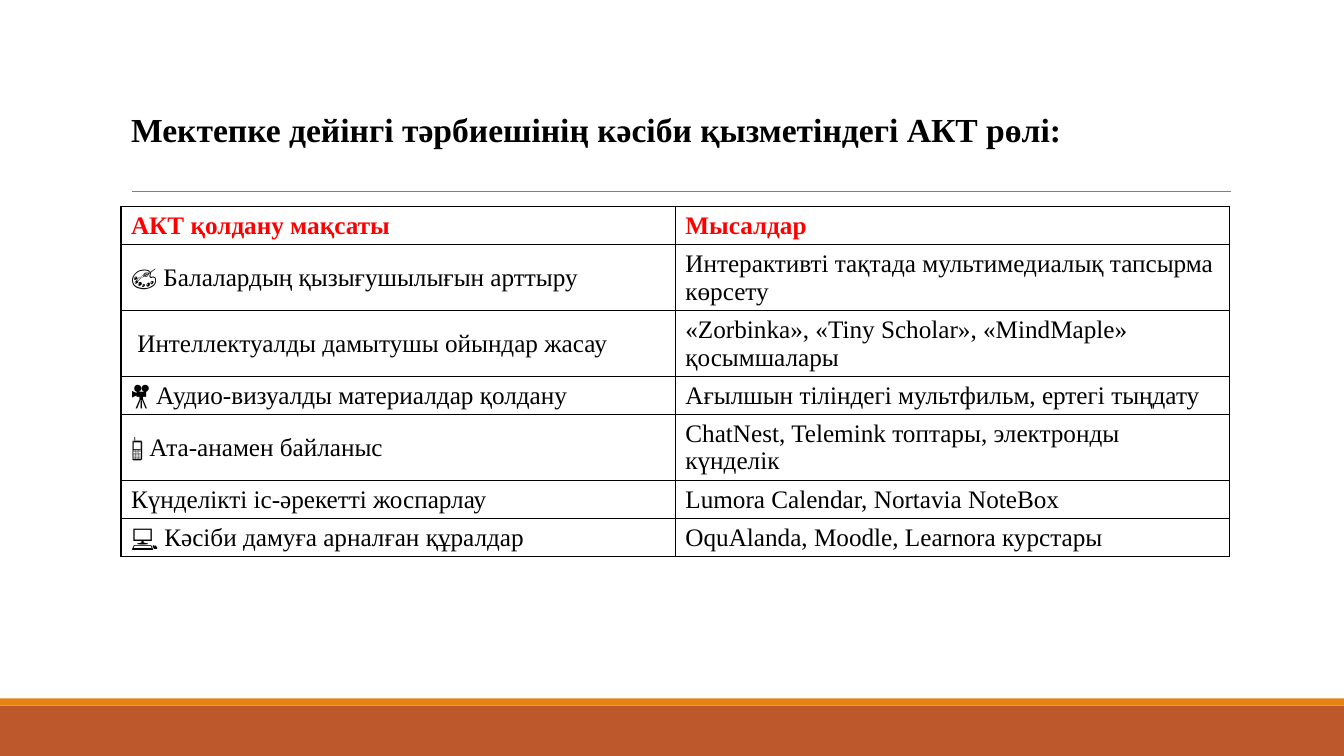
import pptx
import pptx.chart.data
import pptx.dml.color
import pptx.enum.shapes
import pptx.enum.text
import pptx.oxml
import pptx.oxml.ns
import pptx.util

PURPOSES = [
    ("АКТ қолдану мақсаты", "Мысалдар"),
    ("🎨 Балалардың қызығушылығын арттыру",
     "Интерактивті тақтада мультимедиалық тапсырма көрсету"),
    (" Интеллектуалды дамытушы ойындар жасау",
     "«Zorbinka», «Tiny Scholar», «MindMaple» қосымшалары"),
    ("🎥 Аудио-визуалды материалдар қолдану",
     "Ағылшын тіліндегі мультфильм, ертегі тыңдату"),
    ("📱 Ата-анамен байланыс",
     "ChatNest, Telemink топтары, электронды күнделік"),
    ("Күнделікті іс-әрекетті жоспарлау", "Lumora Calendar, Nortavia NoteBox"),
    ("💻 Кәсіби дамуға арналған құралдар", "OquAlanda, Moodle, Learnora курстары"),
]
SINGLE_LINE, DOUBLE_LINE = 1.51, 2.61
ROW_HEIGHTS = [SINGLE_LINE, DOUBLE_LINE, DOUBLE_LINE, SINGLE_LINE,
               DOUBLE_LINE, SINGLE_LINE, SINGLE_LINE]


def color(value):
    return pptx.dml.color.RGBColor.from_string(value)


class LessonSlide:
    """Draws styled elements on a slide split into 40 columns and 30 rows."""

    FONT = "Times New Roman"
    INK = "000000"
    ACCENT = "FF0000"

    def __init__(self, deck):
        self.column = deck.slide_width / 40
        self.row = deck.slide_height / 30
        self.slide = deck.slides.add_slide(deck.slide_layouts[5])

    def place(self, left, top, width, height):
        return (round(left * self.column), round(top * self.row),
                round(width * self.column), round(height * self.row))

    def style(self, frame, size, ink, bold):
        for paragraph in frame.paragraphs:
            paragraph.alignment = pptx.enum.text.PP_ALIGN.LEFT
            for run in paragraph.runs:
                run.font.name = self.FONT
                run.font.size = pptx.util.Pt(size)
                run.font.bold = bold
                run.font.color.rgb = color(ink)

    def band(self, top, height, fill):
        band = self.slide.shapes.add_shape(
            pptx.enum.shapes.MSO_SHAPE.RECTANGLE, *self.place(0, top, 40, height))
        band.shadow.inherit = False
        band.fill.solid()
        band.fill.fore_color.rgb = color(fill)
        band.line.fill.background()

    def rule(self, start, end, row, ink):
        left, top, width, _ = self.place(start, row, end - start, 0)
        rule = self.slide.shapes.add_connector(
            pptx.enum.shapes.MSO_CONNECTOR.STRAIGHT, left, top, left + width, top)
        rule.line.color.rgb = color(ink)
        rule.line.width = pptx.util.Pt(0.5)
        rule._element.spPr.append(pptx.oxml.parse_xml(
            f"<a:effectLst {pptx.oxml.ns.nsdecls('a')}/>"))

    def title(self, text, left, top, width, height):
        title = self.slide.shapes.title
        title.left, title.top, title.width, title.height = self.place(
            left, top, width, height)
        frame = title.text_frame
        frame.text = text
        frame.word_wrap = True
        frame.auto_size = pptx.enum.text.MSO_AUTO_SIZE.NONE
        frame.vertical_anchor = pptx.enum.text.MSO_ANCHOR.MIDDLE
        frame.margin_bottom = pptx.util.Inches(0.3)
        self.style(frame, 24, self.INK, True)

    def border(self, cell):
        properties = cell._tc.get_or_add_tcPr()
        for index, side in enumerate("LRTB"):
            properties.insert(index, pptx.oxml.parse_xml(
                f'<a:ln{side} {pptx.oxml.ns.nsdecls("a")} w="12700"><a:solidFill>'
                f'<a:srgbClr val="{self.INK}"/></a:solidFill></a:ln{side}>'))

    def table(self, rows, heights, left, top, width):
        table = self.slide.shapes.add_table(
            len(rows), len(rows[0]), *self.place(left, top, width, sum(heights))).table
        table.horz_banding = False
        for index, (texts, height) in enumerate(zip(rows, heights)):
            table.rows[index].height = round(height * self.row)
            header = index == 0
            for cell, text in zip(table.rows[index].cells, texts):
                cell.text_frame.text = text
                cell.vertical_anchor = pptx.enum.text.MSO_ANCHOR.MIDDLE
                cell.fill.background()
                self.border(cell)
                self.style(cell.text_frame, 18,
                           self.ACCENT if header else self.INK, header)


def main():
    deck = pptx.Presentation()
    deck.slide_width = pptx.util.Inches(13.33)
    deck.slide_height = pptx.util.Inches(7.5)
    lesson = LessonSlide(deck)
    lesson.band(28, 2, "BD582C")
    lesson.band(27.72, 0.28, "E48312")
    lesson.rule(3.93, 36.63, 7.6, "808080")
    lesson.title("Мектепке дейінгі тәрбиешінің кәсіби қызметіндегі АКТ рөлі:",
                 3.6, 4, 29.9, 3.24)
    lesson.table(PURPOSES, ROW_HEIGHTS, 3.6, 8.2, 33)
    deck.save("out.pptx")


if __name__ == "__main__":
    main()
